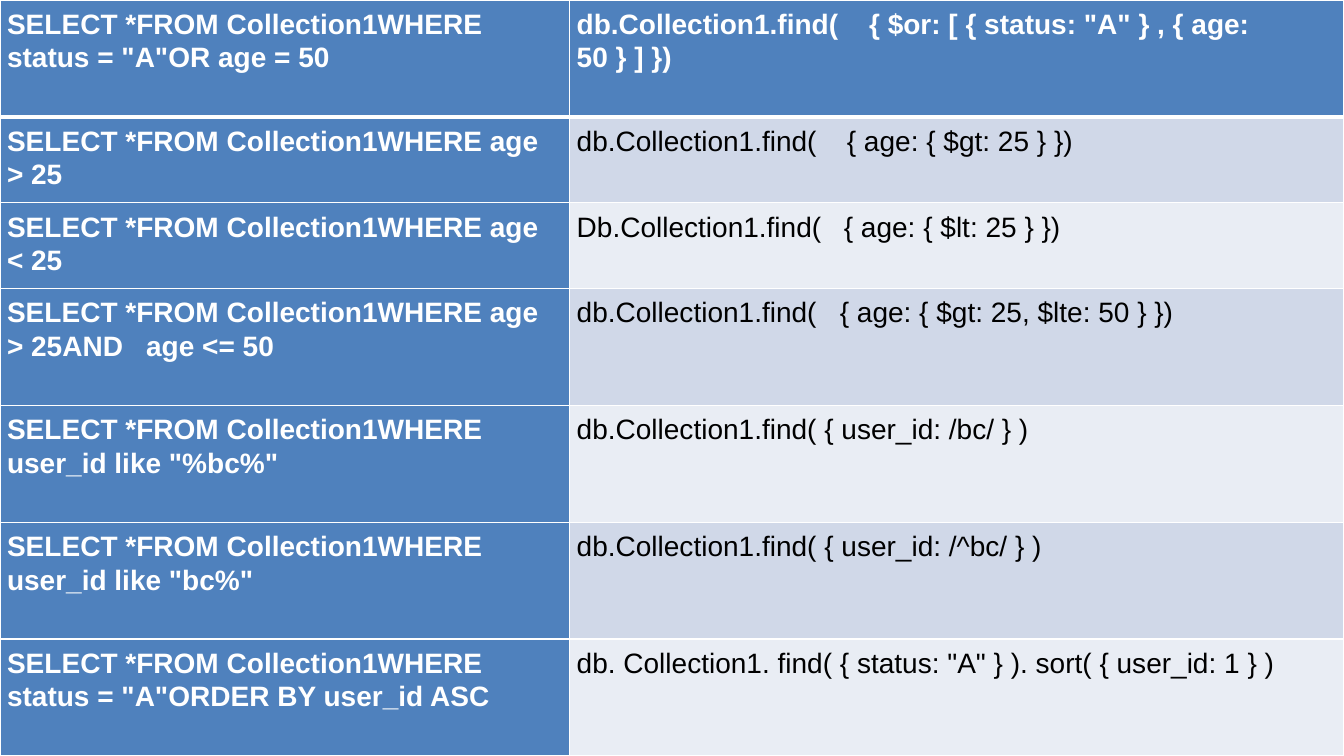
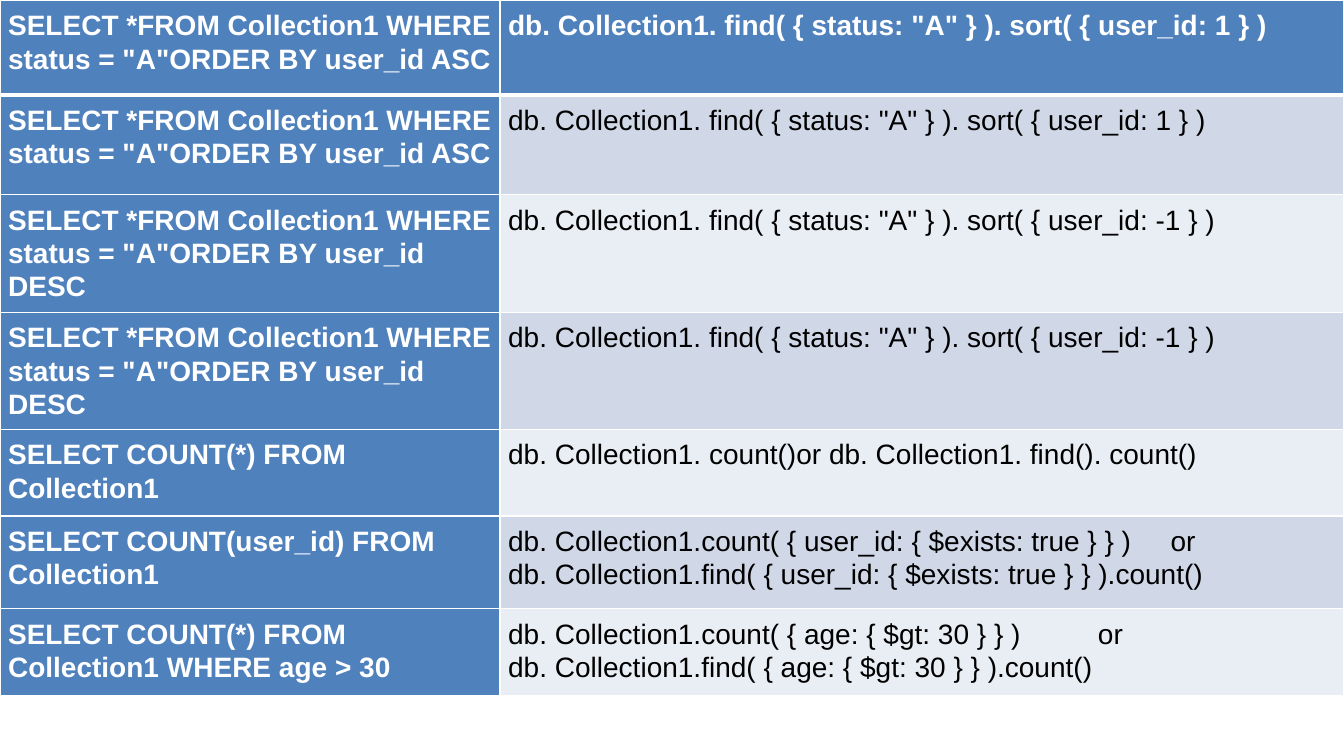
from dataclasses import dataclass

from lxml.etree import SubElement as Sub
from pptx import Presentation as Deck
from pptx.dml.color import RGBColor as Rgb
from pptx.oxml.ns import qn
from pptx.slide import Slide
from pptx.table import _Cell as Cell
from pptx.util import Inches, Pt

WHITE, BLACK, BLUE = "FFFFFF", "000000", "4F81BD"
BANDS = ("E9EDF4", "D0D8E8")
WIDE, HIGH = 13.33, 7.5
HEAD = {"size": Pt(20), "name": "Arial", "bold": True}
BODY = HEAD | {"bold": False}
SIDES = ("L", "R", "T", "B")


@dataclass
class Row:
    high: float
    sql: str
    find: str
    sql_tab: float = 0
    find_tab: float = 0


@dataclass
class Grid:
    split: float
    pad: float
    rows: list[Row]


def paint(code: str) -> Rgb:
    return Rgb.from_string(code)


def assign(item: object, values: dict) -> None:
    for key, value in values.items():
        setattr(item, key, value)


def edge(cell: Cell, side: str, width: float) -> None:
    line = Sub(cell._tc.get_or_add_tcPr(), qn(f"a:ln{side}"), w=str(Pt(width)))
    Sub(Sub(line, qn("a:solidFill")), qn("a:srgbClr"), val=WHITE)


def write(cell: Cell, text: str, tab: float, strong: bool) -> None:
    cell.text_frame.text = text
    for para in cell.text_frame.paragraphs:
        para.line_spacing = 1.07
        if tab:
            stops = Sub(para._p.get_or_add_pPr(), qn("a:tabLst"))
            Sub(stops, qn("a:tab"), pos=str(Inches(tab)), algn="l")
        for run in para.runs:
            assign(run.font, HEAD if strong else BODY)
            run.font.color.rgb = paint(WHITE if strong else BLACK)


def draw(slide: Slide, grid: Grid) -> None:
    total = sum(row.high for row in grid.rows)
    table = slide.shapes.add_table(
        len(grid.rows), 2, 0, 0, Inches(WIDE), Inches(total)).table
    assign(table, {"first_row": False, "horz_banding": False})
    for column, width in zip(table.columns, (grid.split, WIDE - grid.split)):
        column.width = Inches(width)
    pad = Inches(grid.pad)
    sides = ("left", "right", "top", "bottom")
    for r, row in enumerate(grid.rows):
        table.rows[r].height = Inches(row.high)
        pairs = ((row.sql, row.sql_tab), (row.find, row.find_tab))
        for c, (text, tab) in enumerate(pairs):
            cell = table.cell(r, c)
            strong = r == 0 or c == 0
            assign(cell, {f"margin_{side}": pad for side in sides})
            write(cell, text, tab, strong)
            for side in SIDES:
                thick = (r, side) in ((0, "B"), (1, "T"))
                edge(cell, side, 3 if thick else 1)
            cell.fill.solid()
            cell.fill.fore_color.rgb = paint(BLUE if strong else BANDS[r % 2])


FROM = "SELECT *FROM Collection1"
SORT = FROM + ' WHERE status = "A"ORDER BY user_id '
FIND = 'db. Collection1. find( { status: "A" } ). sort( { user_id: '
UP, DOWN = FIND + "1 } )", FIND + "-1 } )"

FILTERS = Grid(5.65, 0.07, [
    Row(1.16, FROM + 'WHERE status = "A"OR age = 50',
        'db.Collection1.find(\t{ $or: [ { status: "A" } , { age: 50 } ] })',
        find_tab=2.9),
    Row(0.85, FROM + "WHERE age > 25",
        "db.Collection1.find(\t{ age: { $gt: 25 } })", find_tab=2.68),
    Row(0.85, FROM + "WHERE age < 25",
        "Db.Collection1.find(\t{ age: { $lt: 25 } })", find_tab=2.65),
    Row(1.16, FROM + "WHERE age > 25AND\tage <= 50",
        "db.Collection1.find(\t{ age: { $gt: 25, $lte: 50 } })",
        sql_tab=1.38, find_tab=2.61),
    Row(1.16, FROM + 'WHERE user_id like "%bc%"',
        "db.Collection1.find( { user_id: /bc/ } )"),
    Row(1.16, FROM + 'WHERE user_id like "bc%"',
        "db.Collection1.find( { user_id: /^bc/ } )"),
    Row(1.16, FROM + 'WHERE status = "A"ORDER BY user_id ASC', UP),
])

COUNTS = Grid(4.96, 0.08, [
    Row(0.94, SORT + "ASC", UP),
    Row(0.99, SORT + "ASC", UP),
    Row(1.17, SORT + "DESC", DOWN),
    Row(1.16, SORT + "DESC", DOWN),
    Row(0.86, "SELECT COUNT(*) FROM Collection1",
        "db. Collection1. count()or db. Collection1. find(). count()"),
    Row(0.92, "SELECT COUNT(user_id) FROM Collection1",
        "db. Collection1.count( { user_id: { $exists: true } } )\tor\n"
        "db. Collection1.find( { user_id: { $exists: true } } ).count()",
        find_tab=6.57),
    Row(0.86, "SELECT COUNT(*) FROM Collection1 WHERE age > 30",
        "db. Collection1.count( { age: { $gt: 30 } } )\tor\n"
        "db. Collection1.find( { age: { $gt: 30 } } ).count()",
        find_tab=5.85),
])

deck = Deck()
assign(deck, {"slide_width": Inches(WIDE), "slide_height": Inches(HIGH)})
for grid in (FILTERS, COUNTS):
    draw(deck.slides.add_slide(deck.slide_layouts[6]), grid)
deck.save("out.pptx")
